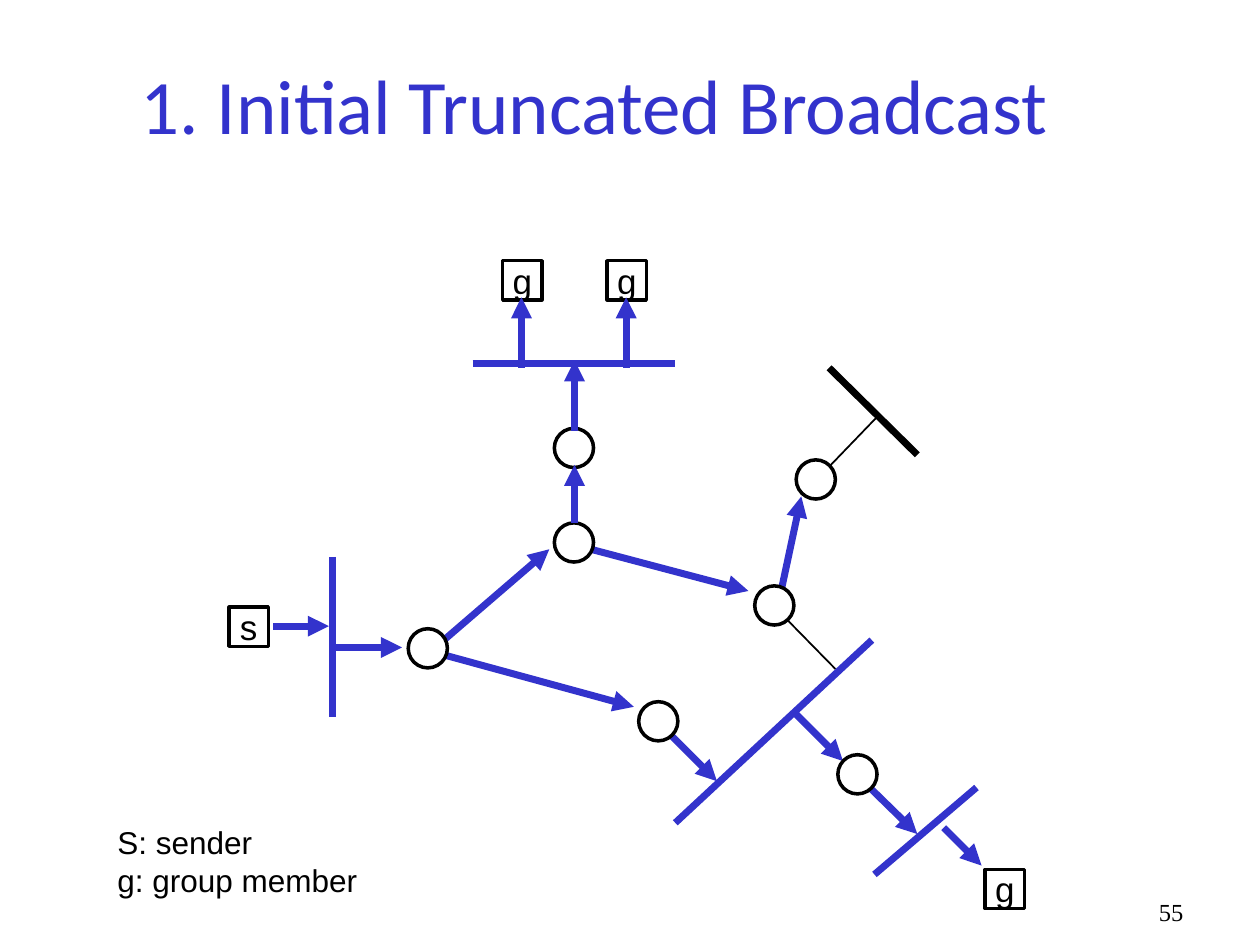
import pptx
import pptx.util
import pptx.dml.color
import pptx.enum.shapes
import pptx.enum.text
import pptx.oxml.ns
import lxml.etree
import dataclasses

Pt = pptx.util.Pt
RGB = pptx.dml.color.RGBColor
Kind = pptx.enum.shapes.MSO_SHAPE
Anchor = pptx.enum.text.MSO_ANCHOR
Align = pptx.enum.text.PP_ALIGN


@dataclasses.dataclass
class Theme:
    blue: RGB = RGB(0x33, 0x33, 0xCC)
    black: RGB = RGB(0, 0, 0)
    white: RGB = RGB(255, 255, 255)
    title: float = 44
    host: float = 20
    key: float = 18
    page: float = 14
    bold: float = 4
    edge: float = 2
    thin: float = 1


theme = Theme()
deck = pptx.Presentation()
deck.slide_width, deck.slide_height = Pt(720), Pt(540)
slide = deck.slides.add_slide(deck.slide_layouts[6])
side = 22.4  # size of every router and host


def line(ends, color, width, arrow=False):
    link = slide.shapes.add_connector(
        pptx.enum.shapes.MSO_CONNECTOR.STRAIGHT, *[Pt(n) for n in ends])
    link.line.color.rgb = color
    link.line.width = Pt(width)
    qn = pptx.oxml.ns.qn
    if arrow:
        pen = link.line._get_or_add_ln()
        lxml.etree.SubElement(pen, qn("a:tailEnd"), type="triangle")
    lxml.etree.SubElement(link._element.spPr, qn("a:effectLst"))


def write(frame, rows, font, size, color, align):
    for i, row in enumerate(rows):
        para = frame.paragraphs[0] if i == 0 else frame.add_paragraph()
        para.alignment = align
        run = para.add_run()
        run.text = row
        run.font.name = font
        run.font.size = Pt(size)
        run.font.color.rgb = color


# Hosts: the sender and the group members
for name, left, top in [("g", 287.3, 149), ("g", 347, 149),
                        ("s", 131, 347), ("g", 563, 496.8)]:
    host = slide.shapes.add_shape(Kind.RECTANGLE, Pt(left), Pt(top), Pt(side), Pt(side))
    host.shadow.inherit = False
    host.fill.background()
    host.line.color.rgb = theme.black
    host.line.width = Pt(theme.edge)
    host.text_frame.word_wrap = False
    host.text_frame.vertical_anchor = Anchor.MIDDLE
    write(host.text_frame, [name], "Arial", theme.host, theme.black, Align.CENTER)

# Links without traffic
for ends in [(465.8, 275, 501.8, 237.6), (442.1, 346.3, 477.4, 382.3)]:
    line(ends, theme.black, theme.thin)

# Networks
line((473.8, 210.2, 524.2, 259.9), theme.black, theme.bold)
for ends in [(270, 208, 385.9, 208), (190, 318.2, 190, 409.7),
             (498.2, 365.8, 385.9, 470.2), (558, 450, 499.7, 499.7)]:
    line(ends, theme.blue, theme.bold)

# Broadcast hops that start beneath a router
for ends in [(377.3, 414, 409.7, 446.4), (455, 408.2, 481.7, 434.9),
             (491, 444.2, 524.2, 476.6), (539.3, 473, 560.9, 494.6),
             (246.2, 372.2, 313.9, 313.9), (246.2, 372.2, 362.2, 403.9),
             (329.8, 311.8, 427.7, 337.7), (444.2, 347.8, 457.9, 283.7),
             (192.2, 370, 229.7, 370), (156.2, 357.8, 187.9, 357.8)]:
    line(ends, theme.blue, theme.bold, True)

# Routers
for left, top in [(316.8, 244.8), (316.8, 298.8), (233.3, 359.3), (431.3, 334.8),
                  (455, 262.8), (365, 401), (478.8, 431.3)]:
    node = slide.shapes.add_shape(Kind.OVAL, Pt(left), Pt(top), Pt(side), Pt(side))
    node.shadow.inherit = False
    node.fill.solid()
    node.fill.fore_color.rgb = theme.white
    node.line.color.rgb = theme.black
    node.line.width = Pt(theme.edge)

# Upward hops to the members
for x, low, high in [(328.3, 246.2, 205.9), (328.3, 299, 265.7),
                     (298, 210.2, 169.9), (357.8, 210.2, 169.9)]:
    line((x, low, x, high), theme.blue, theme.bold, True)

# Title, key and page number
for rows, area, font, size, color, align, anchor, wrap in [
    (["1. Initial Truncated Broadcast"], (-20, -2, 720, 91), "Calibri",
     theme.title, theme.blue, Align.CENTER, Anchor.BOTTOM, True),
    (["S: sender", "g: group member"], (60, 466.6, 152.6, 51), "Arial",
     theme.key, theme.black, Align.LEFT, Anchor.TOP, False),
    (["55"], (655.2, 509, 53.3, 21.6), "Times New Roman",
     theme.page, theme.black, Align.LEFT, Anchor.TOP, True),
]:
    frame = slide.shapes.add_textbox(*[Pt(n) for n in area]).text_frame
    frame.word_wrap = wrap
    frame.vertical_anchor = anchor
    write(frame, rows, font, size, color, align)

deck.save("out.pptx")
